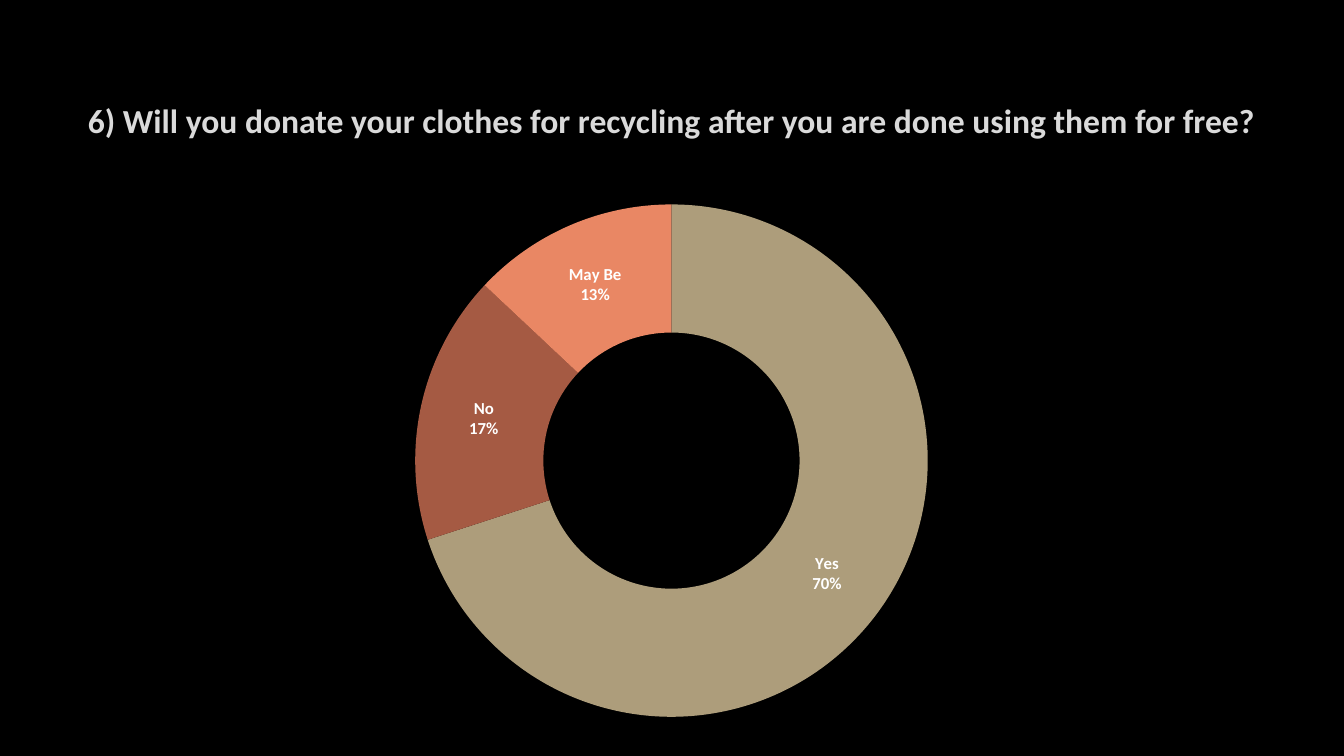
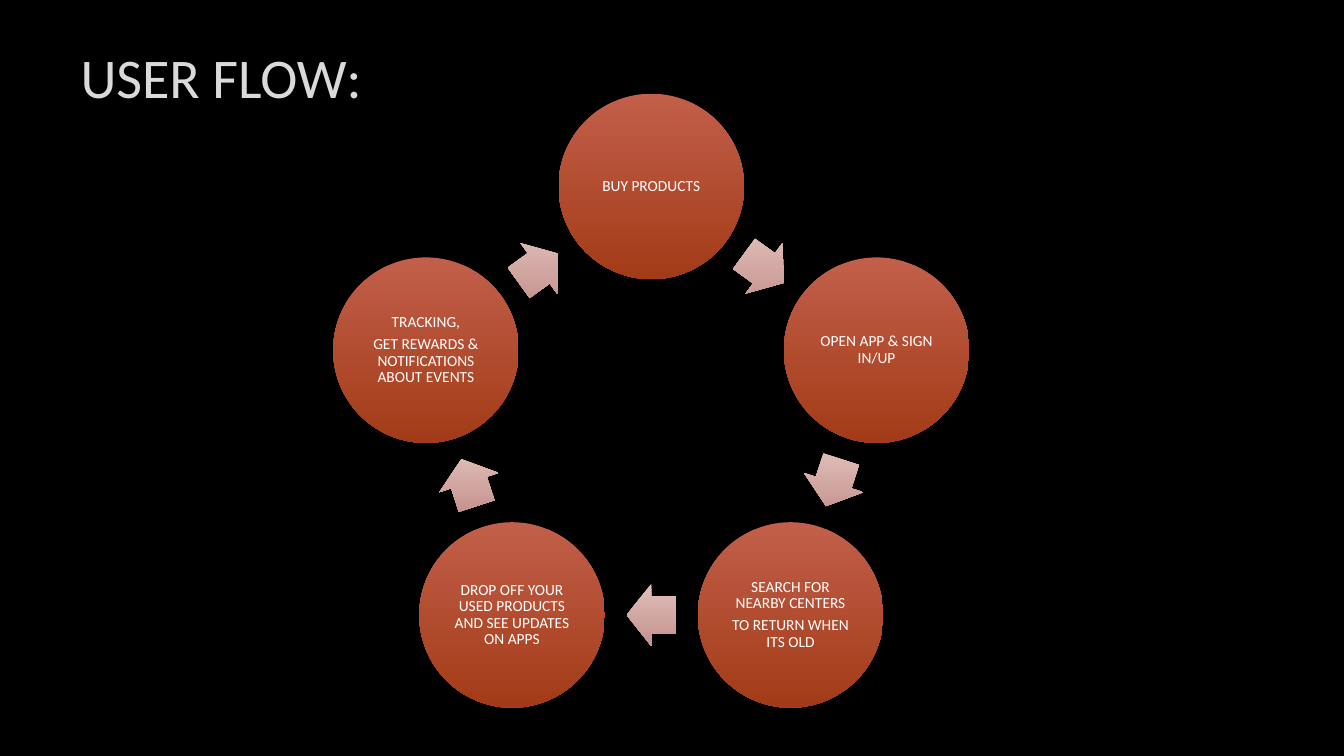
import math
from lxml import etree
from pptx import Presentation
from pptx import util as u
from pptx.chart.data import CategoryChartData
from pptx.dml.color import RGBColor
from pptx.enum import chart as charts, shapes, text
from pptx.oxml.ns import qn

BLACK = RGBColor(0x00, 0x00, 0x00)
WHITE = RGBColor(0xFF, 0xFF, 0xFF)
TITLE_GREY = RGBColor(0xDA, 0xDA, 0xDA)
SAND = RGBColor(0xAD, 0x9D, 0x7B)
RUST = RGBColor(0xA5, 0x5A, 0x43)
CORAL = RGBColor(0xE9, 0x87, 0x64)
STEP_TOP = RGBColor(0xC2, 0x5F, 0x4A)
STEP_BOTTOM = RGBColor(0xA2, 0x3B, 0x17)
ARROW_TOP = RGBColor(0xE1, 0xBF, 0xBB)
ARROW_BOTTOM = RGBColor(0xC4, 0x91, 0x8C)
FONT = "Calibri"

deck = Presentation()
deck.slide_width = u.Inches(13.33)
deck.slide_height = u.Inches(7.5)
blank = deck.slide_layouts[6]


def add_titled_slide(title, box, size, bold, align):
    slide = deck.slides.add_slide(blank)
    slide.background.fill.solid()
    slide.background.fill.fore_color.rgb = BLACK
    frame = slide.shapes.add_textbox(*[u.Inches(side) for side in box]).text_frame
    frame.word_wrap = True
    frame.vertical_anchor = text.MSO_ANCHOR.MIDDLE
    heading = frame.paragraphs[0]
    heading.alignment = align
    run = heading.add_run()
    run.text = title
    run.font.name = FONT
    run.font.size = u.Pt(size)
    run.font.bold = bold
    run.font.color.rgb = TITLE_GREY
    return slide


def add_ring_shape(slide, kind, radius, degrees, width, height, top_color, bottom_color):
    angle = math.radians(degrees)
    x = RING_X + radius * math.sin(angle)
    y = RING_Y - radius * math.cos(angle)
    shape = slide.shapes.add_shape(
        kind, u.Inches(x - width / 2), u.Inches(y - height / 2), u.Inches(width), u.Inches(height))
    shape.shadow.inherit = False
    shape.line.fill.background()
    shape.fill.gradient()
    shape.fill.gradient_angle = 270
    for stop, color in zip(shape.fill.gradient_stops, (top_color, bottom_color)):
        stop.color.rgb = color
    shape._element.spPr.find(qn("a:gradFill")).set("rotWithShape", "0")
    return shape


survey = add_titled_slide(
    "6) Will you donate your clothes for recycling after you are done using them for free?",
    (0.46, 0.94, 12.4, 0.5), 24, True, text.PP_ALIGN.CENTER)

answers = CategoryChartData()
answers.categories = ["Yes", "No", "May Be"]
answers.add_series("Series 1", (70, 17, 13))
donut = survey.shapes.add_chart(
    charts.XL_CHART_TYPE.DOUGHNUT,
    u.Inches(1), u.Inches(1.89), u.Inches(11.32), u.Inches(5.36), answers).chart
donut.has_title = False
donut.has_legend = False
donut.font.name = FONT
donut.font.size = u.Pt(10)
donut.font.color.rgb = WHITE
donut.plots[0].vary_by_categories = True

replies = donut.plots[0].series[0]
for index, color in enumerate((SAND, RUST, CORAL)):
    slice_format = replies.points[index].format
    slice_format.fill.solid()
    slice_format.fill.fore_color.rgb = color
    slice_format.line.fill.background()

labels = replies.data_labels
labels.show_value = False
labels.show_category_name = True
labels.show_percentage = True
labels.font.name = FONT
labels.font.size = u.Pt(12)
labels.font.bold = True
labels.font.color.rgb = WHITE
separator = etree.Element(qn("c:separator"))
separator.text = "\n"
labels._element.find(qn("c:showBubbleSize")).addnext(separator)

flow = add_titled_slide(
    "USER FLOW:", (0.7, 0.23, 11.32, 1.06), 40, False, text.PP_ALIGN.LEFT)

RING_X, RING_Y, RING_RADIUS = 6.46, 4.2, 2.35
STEP_SIZE = 1.84
steps = [
    ["BUY PRODUCTS"],
    ["OPEN APP & SIGN IN/UP"],
    ["SEARCH FOR NEARBY CENTERS", "TO RETURN WHEN ITS OLD"],
    ["DROP OFF YOUR USED PRODUCTS AND SEE UPDATES ON APPS"],
    ["TRACKING,", "GET REWARDS & NOTIFICATIONS ABOUT EVENTS"],
]
turn = 360 / len(steps)
arrow_radius = RING_RADIUS * math.cos(math.radians(turn / 2))

for index, lines in enumerate(steps):
    step = add_ring_shape(flow, shapes.MSO_SHAPE.OVAL, RING_RADIUS, index * turn,
                          STEP_SIZE, STEP_SIZE, STEP_TOP, STEP_BOTTOM)
    frame = step.text_frame
    frame.word_wrap = True
    frame.vertical_anchor = text.MSO_ANCHOR.MIDDLE
    frame.margin_left = frame.margin_right = u.Inches(0.02)
    frame.margin_top = frame.margin_bottom = u.Inches(0.02)
    for number, line in enumerate(lines):
        paragraph = frame.add_paragraph() if number else frame.paragraphs[0]
        paragraph.alignment = text.PP_ALIGN.CENTER
        paragraph.line_spacing = 0.9
        paragraph.space_after = u.Pt(3.85)
        run = paragraph.add_run()
        run.text = line
        run.font.name = FONT
        run.font.size = u.Pt(11)
        run.font.color.rgb = WHITE

    heading_angle = (index + 0.5) * turn
    arrow = add_ring_shape(flow, shapes.MSO_SHAPE.RIGHT_ARROW, arrow_radius, heading_angle,
                           0.49, 0.62, ARROW_TOP, ARROW_BOTTOM)
    arrow.adjustments[0] = 0.6
    arrow.adjustments[1] = 0.5
    arrow.rotation = heading_angle

deck.save("out.pptx")
